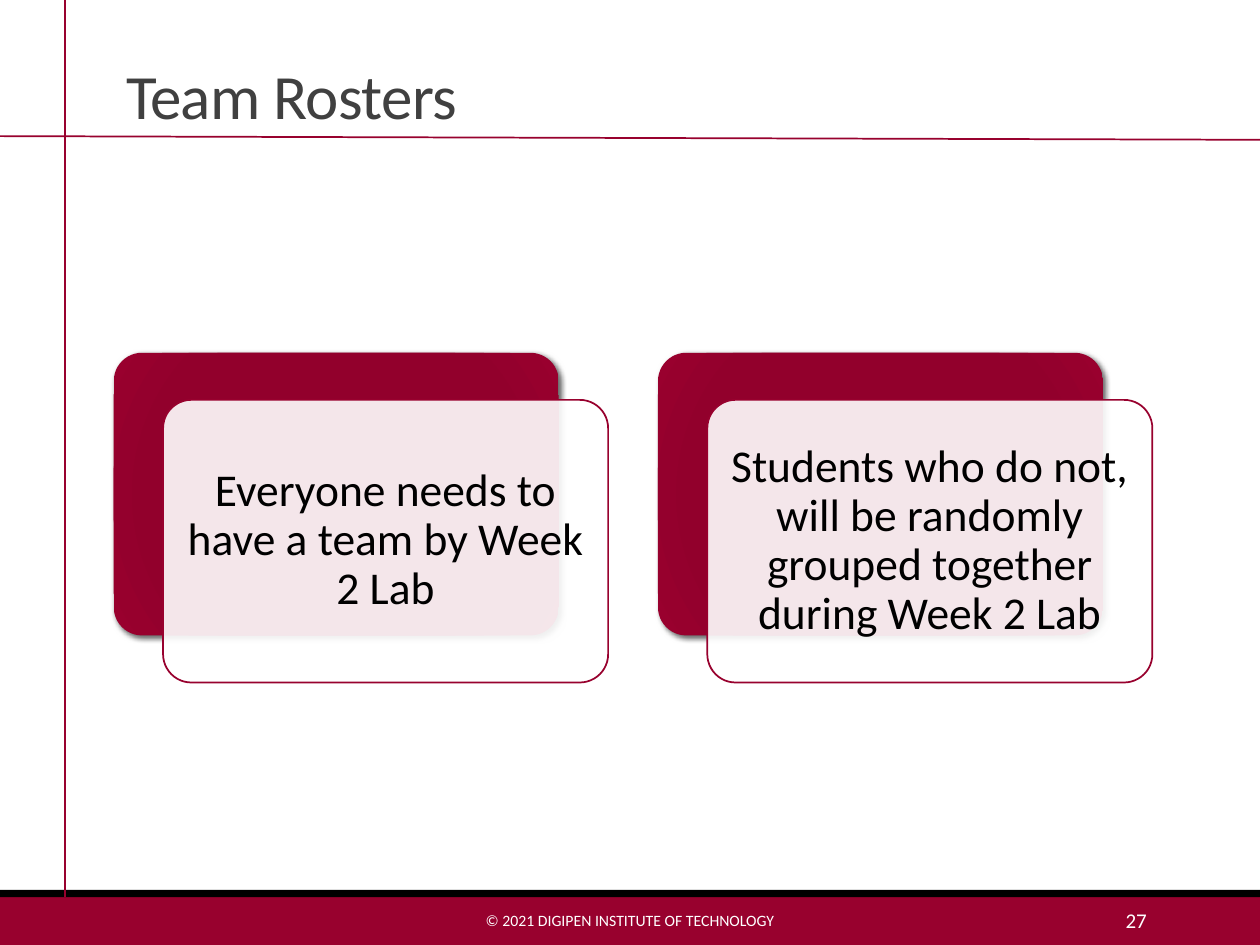
from pptx import Presentation
from pptx.dml.color import RGBColor
from pptx.enum.shapes import MSO_CONNECTOR, MSO_SHAPE
from pptx.enum.text import MSO_ANCHOR, MSO_AUTO_SIZE, PP_ALIGN
from pptx.oxml import parse_xml
from pptx.oxml.ns import qn
from pptx.util import Pt
from lxml.etree import SubElement

CRIMSON = RGBColor(0x98, 0x01, 0x2E)
BLACK = RGBColor(0, 0, 0)
WHITE = RGBColor(0xFF, 0xFF, 0xFF)
GRAY = RGBColor(0x40, 0x40, 0x40)
FONT = "Calibri"
NS = 'xmlns:a="http://schemas.openxmlformats.org/drawingml/2006/main"'

HEADING = "Team Rosters"
RULES = [
    "Everyone needs to have a team by Week 2 Lab",
    "Students who do not, will be randomly grouped together during Week 2 Lab",
]
FOOTER = [
    ("© 2021 DIGIPEN INSTITUTE OF TECHNOLOGY", (217.4, 511.2, 285.1, 28.8), 9, PP_ALIGN.CENTER),
    ("27", (584.6, 511.2, 77.8, 28.8), 12, PP_ALIGN.RIGHT),
]
BANDS = [((0, 512.6, 720, 27.4), CRIMSON), ((0, 508.5, 720, 4.1), BLACK)]
GUIDES = [(37, 0, 37, 512.6), (0, 77.8, 720, 79.9)]
GLOW = [(0, "8F002A"), (34, "90002B"), (70, "92002C"), (100, "99002E")]

CARD_LEFT, CARD_TOP = 65, 201.6
CARD_WIDTH, CARD_HEIGHT = 254.3, 161.5
CARD_STEP = 311
PANEL_SHIFT_X, PANEL_SHIFT_Y = 28.2, 26.9


def write(holder, text, size, color, align, anchor, inset=None, line_spacing=1.0, tracking=None):
    frame = holder.text_frame
    frame.word_wrap = True
    frame.auto_size = MSO_AUTO_SIZE.NONE
    frame.vertical_anchor = anchor
    if inset is not None:
        frame.margin_left = frame.margin_right = Pt(inset)
        frame.margin_top = frame.margin_bottom = Pt(inset)
    paragraph = frame.paragraphs[0]
    paragraph.alignment = align
    paragraph.line_spacing = line_spacing
    run = paragraph.add_run()
    run.text = text
    run.font.name = FONT
    run.font.size = Pt(size)
    run.font.color.rgb = color
    if tracking is not None:
        run.font._element.set("spc", str(round(tracking * 100)))


def add_block(slide, box, kind, color, outline=None):
    block = slide.shapes.add_shape(kind, *map(Pt, box))
    block.shadow.inherit = False
    block.fill.solid()
    block.fill.fore_color.rgb = color
    if outline is None:
        block.line.fill.background()
    else:
        block.line.color.rgb = outline
        block.line.width = Pt(1)
    if kind == MSO_SHAPE.ROUNDED_RECTANGLE:
        block.adjustments[0] = 0.1
    return block


def add_glow_and_shadow(card):
    properties = card._element.spPr
    stops = "".join(
        f'<a:gs pos="{position * 1000}"><a:srgbClr val="{color}"/></a:gs>' for position, color in GLOW
    )
    gradient = parse_xml(
        f'<a:gradFill {NS} rotWithShape="1"><a:gsLst>{stops}</a:gsLst><a:path path="circle">'
        '<a:fillToRect l="100000" t="100000" r="100000" b="100000"/></a:path></a:gradFill>'
    )
    properties.replace(properties.find(qn("a:solidFill")), gradient)
    properties.find(qn("a:effectLst")).append(parse_xml(
        f'<a:outerShdw {NS} blurRad="{Pt(3)}" dist="{Pt(2)}" dir="2700000" algn="ctr" rotWithShape="0">'
        '<a:srgbClr val="000000"><a:alpha val="60000"/></a:srgbClr></a:outerShdw>'
    ))


def add_guide(slide, ends):
    guide = slide.shapes.add_connector(MSO_CONNECTOR.STRAIGHT, *map(Pt, ends))
    guide.line.color.rgb = CRIMSON
    guide.line.width = Pt(1)
    SubElement(guide._element.spPr, qn("a:effectLst"))


def add_rule(slide, index, text):
    left = CARD_LEFT + index * CARD_STEP
    rounded = MSO_SHAPE.ROUNDED_RECTANGLE
    card = add_block(slide, (left, CARD_TOP, CARD_WIDTH, CARD_HEIGHT), rounded, CRIMSON)
    add_glow_and_shadow(card)
    panel_box = (left + PANEL_SHIFT_X, CARD_TOP + PANEL_SHIFT_Y, CARD_WIDTH, CARD_HEIGHT)
    panel = add_block(slide, panel_box, rounded, WHITE, outline=CRIMSON)
    tint = panel._element.spPr.find(qn("a:solidFill"))[0]
    SubElement(tint, qn("a:alpha")).set("val", "90000")
    write(panel, text, size=26, color=BLACK, align=PP_ALIGN.CENTER,
          anchor=MSO_ANCHOR.MIDDLE, inset=8, line_spacing=0.9)


def main():
    deck = Presentation()
    deck.slide_width, deck.slide_height = Pt(720), Pt(540)
    slide = deck.slides.add_slide(deck.slide_layouts[5])
    for box, color in BANDS:
        add_block(slide, box, MSO_SHAPE.RECTANGLE, color)
    for ends in GUIDES:
        add_guide(slide, ends)

    title = slide.shapes.title
    title.left, title.top, title.width, title.height = map(Pt, (64.8, 11.5, 594, 67.7))
    write(title, HEADING, size=36, color=GRAY, align=PP_ALIGN.LEFT,
          anchor=MSO_ANCHOR.BOTTOM, line_spacing=0.85, tracking=-0.4)

    for text, box, size, align in FOOTER:
        note = slide.shapes.add_textbox(*map(Pt, box))
        write(note, text, size=size, color=WHITE, align=align, anchor=MSO_ANCHOR.MIDDLE)
    for index, text in enumerate(RULES):
        add_rule(slide, index, text)
    deck.save("out.pptx")


if __name__ == "__main__":
    main()
